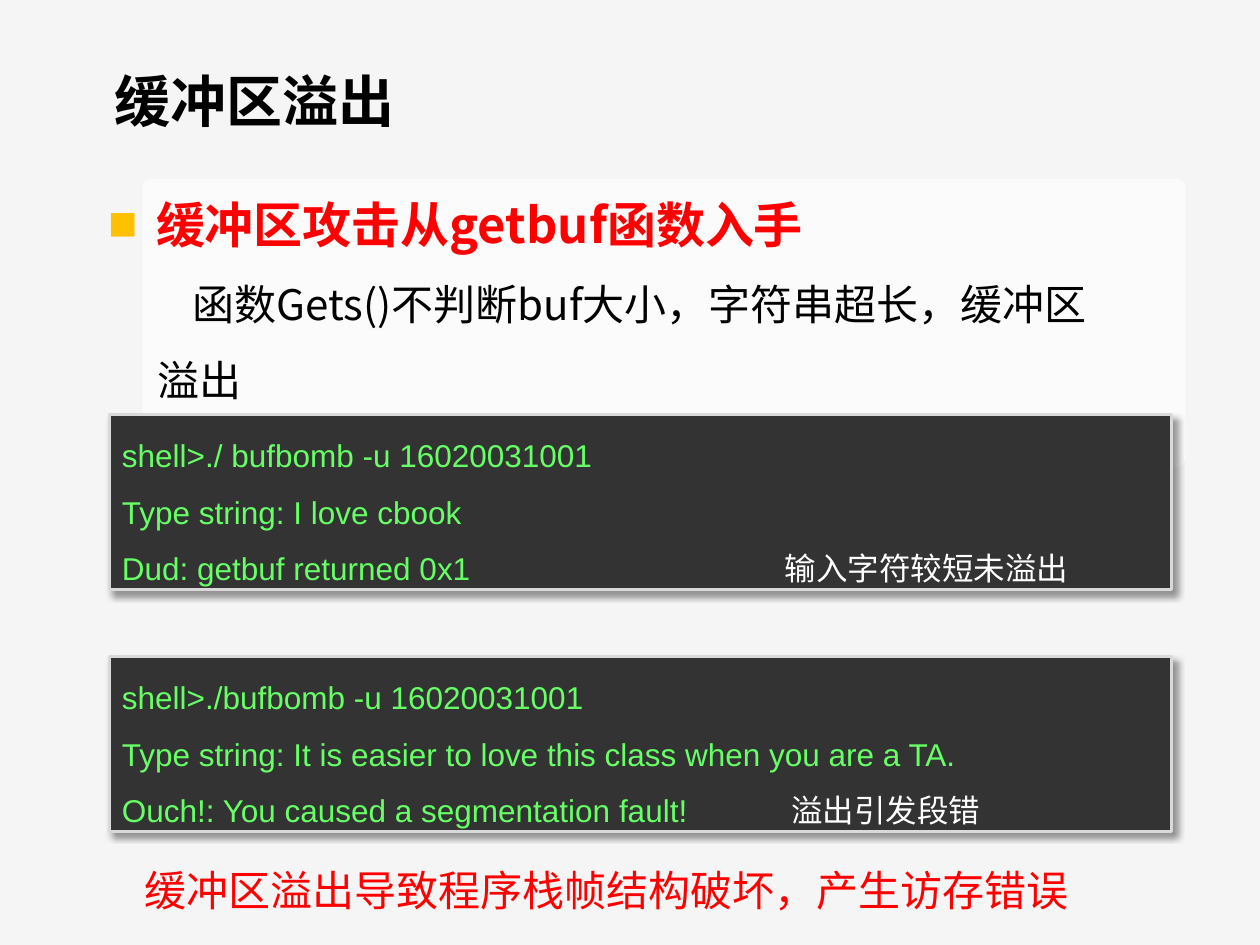
from dataclasses import dataclass
from typing import Any

from lxml.etree import SubElement
from pptx import Presentation
from pptx.dml.color import RGBColor
from pptx.enum.shapes import MSO_SHAPE as Shape
from pptx.enum.text import MSO_ANCHOR as Anchor, MSO_AUTO_SIZE as AutoSize, PP_ALIGN as Align
from pptx.oxml.ns import qn
from pptx.util import Inches, Pt

BLACK = RGBColor(0x00, 0x00, 0x00)
WHITE = RGBColor(0xFF, 0xFF, 0xFF)
RED = RGBColor(0xFF, 0x00, 0x00)
AMBER = RGBColor(0xFF, 0xC0, 0x00)
PAPER = RGBColor(0xF5, 0xF5, 0xF5)
CONSOLE = RGBColor(0x33, 0x33, 0x33)
FRAME = RGBColor(0xD9, 0xD9, 0xD9)
GREEN = RGBColor(0x66, 0xFF, 0x66)
CJK, CJK_TITLE, LATIN = "Noto Sans CJK SC", "Noto Sans CJK JP", "Arial"

CONSOLES = [
    (32.9, ["shell>./ bufbomb -u 16020031001", "Type string: I love cbook",
            "Dud: getbuf returned 0x1"], "输入字符较短未溢出", 61.3),
    (52.1, ["shell>./bufbomb -u 16020031001",
            "Type string: It is easier to love this class when you are a TA.",
            "Ouch!: You caused a segmentation fault!"], "溢出引发段错", 61.8),
]


@dataclass
class Deck:
    """Draws styled elements on a slide with a grid of 100 columns by 75 rows."""

    slide: Any
    cell: float = 0.1
    spacing: float = 1.5

    def grid(self, *cells):
        return [Inches(c * self.cell) for c in cells]

    def child(self, parent, tag, **attrs):
        return SubElement(parent, qn(tag), {k: str(v) for k, v in attrs.items()})

    def run(self, p, text, size, color, font=CJK, bold=False):
        r = p.add_run()
        r.text = text
        for name, value in dict(size=Pt(size), name=font, bold=bold).items():
            setattr(r.font, name, value)
        r.font.color.rgb = color
        self.child(r.font._element, "a:ea", typeface=CJK if font == LATIN else font)

    def paragraph(self, tf, first=False, margin=0, indent=0, spacing=None):
        p = tf.paragraphs[0] if first else tf.add_paragraph()
        p.alignment = Align.LEFT
        p.line_spacing = spacing or self.spacing
        ppr = p._p.get_or_add_pPr()
        for name, value in zip(("marL", "indent"), self.grid(margin, indent)):
            ppr.set(name, str(value))
        return p

    def textbox(self, *box, **frame):
        tf = self.slide.shapes.add_textbox(*self.grid(*box)).text_frame
        for name, value in {"word_wrap": True, **frame}.items():
            setattr(tf, name, value)
        return tf

    def bullet(self, p, char, color, percent):
        ppr = p._p.get_or_add_pPr()
        self.child(self.child(ppr, "a:buClr"), "a:srgbClr", val=color)
        self.child(ppr, "a:buSzPct", val=percent * 1000)
        self.child(ppr, "a:buFont", typeface=CJK)
        self.child(ppr, "a:buChar", char=char)

    def shape(self, kind, fill, *box):
        s = self.slide.shapes.add_shape(kind, *self.grid(*box))
        s.shadow.inherit = False
        s.fill.solid()
        s.fill.fore_color.rgb = fill
        s.line.fill.background()
        return s

    def panel(self, *box, radius, opacity):
        s = self.shape(Shape.ROUNDED_RECTANGLE, WHITE, *box)
        s.adjustments[0] = radius
        color = s.fill._xPr.find(qn("a:solidFill"))[0]
        self.child(color, "a:alpha", val=opacity * 1000)

    def shadow(self, s, blur, dist, angle, opacity):
        effects = s._element.spPr.find(qn("a:effectLst"))
        outer = self.child(effects, "a:outerShdw", blurRad=Pt(blur), dist=Pt(dist),
                           dir=angle * 60000, algn="tl", rotWithShape=0)
        color = self.child(outer, "a:srgbClr", val=BLACK)
        self.child(color, "a:alpha", val=opacity * 1000)

    def console(self, top, lines, note, note_left):
        s = self.shape(Shape.RECTANGLE, CONSOLE, 8.7, top, 84.3, 13.9)
        s.line.color.rgb = FRAME
        s.line.width = Pt(2)
        self.shadow(s, blur=4, dist=3, angle=45, opacity=40)
        tf = s.text_frame
        tf.word_wrap = True
        tf.vertical_anchor = Anchor.MIDDLE
        for i, line in enumerate(lines):
            self.run(self.paragraph(tf, first=i == 0), line, 18, GREEN, LATIN)
        tf = self.textbox(note_left, top + 8.7, 30, 5.5)
        self.run(self.paragraph(tf, first=True), note, 18, WHITE, LATIN)


def main():
    prs = Presentation()
    prs.slide_width, prs.slide_height = Inches(10), Inches(7.5)
    slide = prs.slides.add_slide(prs.slide_layouts[6])
    slide.background.fill.solid()
    slide.background.fill.fore_color.rgb = PAPER
    deck = Deck(slide)

    tf = deck.textbox(4.1, 4.5, 90, 6.9, vertical_anchor=Anchor.MIDDLE)
    title = deck.paragraph(tf, first=True, margin=4, spacing=1.0)
    deck.run(title, "缓冲区溢出", 32, BLACK, CJK_TITLE, bold=True)

    deck.panel(11.3, 14.2, 82.8, 22.9, radius=0.035, opacity=66)
    tf = deck.textbox(7.6, 12.6, 81.2, 55.8)
    heading = deck.paragraph(tf, first=True, margin=3.8, indent=-3.8)
    deck.bullet(heading, "■", AMBER, 60)
    deck.run(heading, "缓冲区攻击从getbuf函数入手", 28, RED, bold=True)
    detail = deck.paragraph(tf, margin=3.9, indent=2.8)
    deck.run(detail, "函数Gets()不判断buf大小，字符串超长，缓冲区溢出", 24, BLACK)

    for console in CONSOLES:
        deck.console(*console)

    tf = deck.textbox(10.5, 66.1, 75.3, 7.1, word_wrap=False,
                      auto_size=AutoSize.SHAPE_TO_FIT_TEXT)
    deck.run(deck.paragraph(tf, first=True), "缓冲区溢出导致程序栈帧结构破坏，产生访存错误", 24, RED)
    prs.save("out.pptx")


if __name__ == "__main__":
    main()
